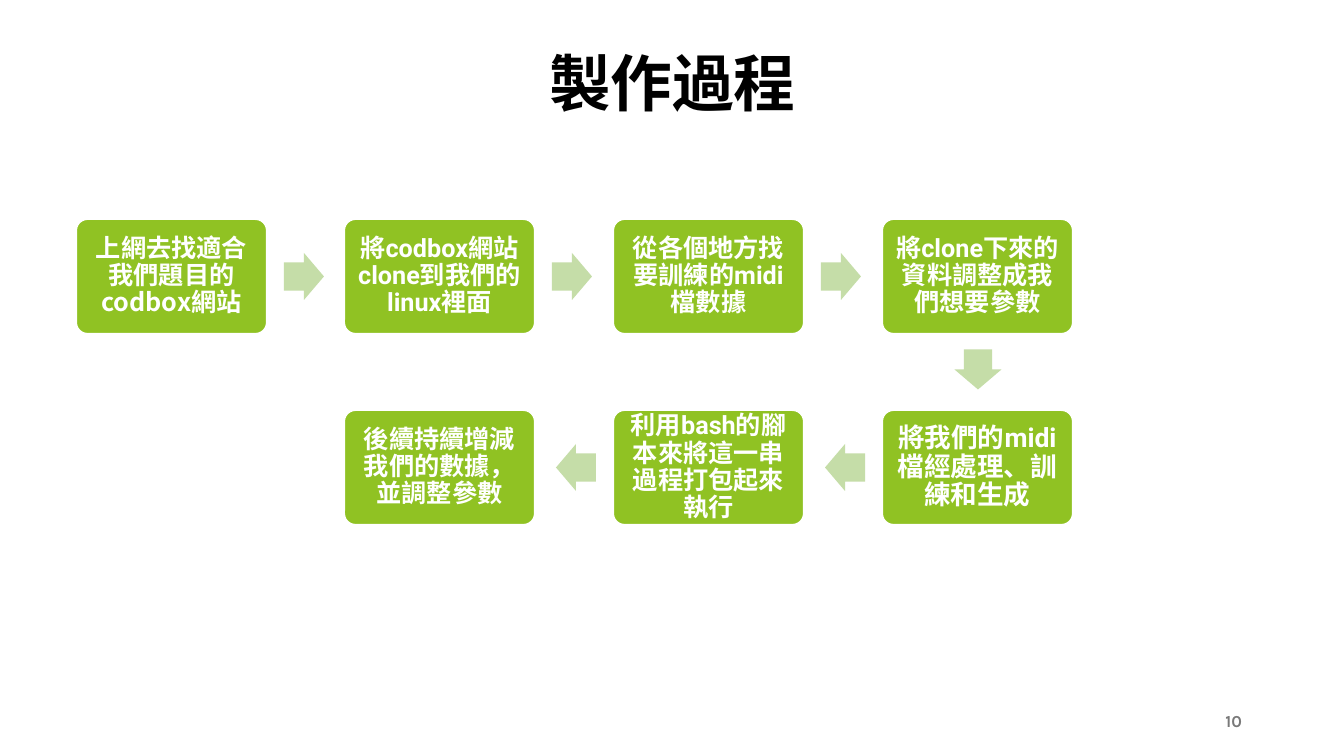
from dataclasses import dataclass
from itertools import pairwise
from math import atan2, degrees

from lxml.etree import SubElement
from pptx import Presentation
from pptx.dml.color import RGBColor
from pptx.enum.shapes import MSO_SHAPE
from pptx.enum.text import MSO_ANCHOR, PP_ALIGN
from pptx.oxml.ns import qn
from pptx.util import Emu, Pt


@dataclass(frozen=True)
class Theme:
    black: str = "000000"
    white: str = "FFFFFF"
    gray: str = "797979"
    green: str = "90C223"
    pale: str = "C5DDA8"
    heading_font: str = "Karla"
    step_font: str = "Roboto"
    cjk_font: str = "Noto Sans CJK TC"
    title_size: int = 44
    step_size: int = 18
    number_size: int = 12
    border: float = 1.5


def px(n):
    return Emu(round(n * 914400 / 100.8))


class SlideBuilder:
    BOX_W, BOX_H = 191, 115
    ARROW_W, ARROW_H = 40, 47

    def __init__(self, slide, theme):
        self.s, self.t = slide, theme

    def set_text(self, sp, text, size, color, font, align, anchor, inset=(10, 5)):
        tf = sp.text_frame
        tf.word_wrap = True
        tf.vertical_anchor = anchor
        tf.margin_left = tf.margin_right = px(inset[0])
        tf.margin_top = tf.margin_bottom = px(inset[1])
        tf.text = text
        p = tf.paragraphs[0]
        p.alignment = align
        r = p.runs[0]
        r.font.size, r.font.bold, r.font.name = Pt(size), True, font
        r.font.color.rgb = RGBColor.from_string(color)
        SubElement(r.font._element, qn("a:ea"), typeface=self.t.cjk_font)
        return p

    def title(self, text, x, y, w, h):
        sp = self.s.shapes.title
        sp.left, sp.top, sp.width, sp.height = map(px, (x, y, w, h))
        self.set_text(sp, text, self.t.title_size, self.t.black,
                      self.t.heading_font, PP_ALIGN.CENTER, MSO_ANCHOR.TOP)

    def number(self, text, x, y, w, h):
        sp = self.s.shapes.add_textbox(*map(px, (x, y, w, h)))
        self.set_text(sp, text, self.t.number_size, self.t.gray,
                      self.t.heading_font, PP_ALIGN.RIGHT, MSO_ANCHOR.MIDDLE)

    def shape(self, kind, x, y, w, h, fill):
        sp = self.s.shapes.add_shape(kind, *map(px, (x, y, w, h)))
        sp.shadow.inherit = False
        sp.fill.solid()
        sp.fill.fore_color.rgb = RGBColor.from_string(fill)
        return sp

    def step(self, text, x, y, size, font):
        sp = self.shape(MSO_SHAPE.ROUNDED_RECTANGLE, x, y,
                        self.BOX_W, self.BOX_H, self.t.green)
        sp.adjustments[0] = 0.1
        sp.line.color.rgb = RGBColor.from_string(self.t.white)
        sp.line.width = Pt(self.t.border)
        p = self.set_text(sp, text, size, self.t.white, font,
                          PP_ALIGN.CENTER, MSO_ANCHOR.MIDDLE, (9, 9))
        p.line_spacing = 0.9

    def arrow(self, start, end):
        """Block arrow in the gap between two steps, slightly nearer the first."""
        dx, dy = end[0] - start[0], end[1] - start[1]
        length = abs(dx) + abs(dy)
        cx = (start[0] + end[0] + self.BOX_W) / 2 - 2 * dx / length
        cy = (start[1] + end[1] + self.BOX_H) / 2 - 2 * dy / length
        sp = self.shape(MSO_SHAPE.RIGHT_ARROW,
                        round(cx - self.ARROW_W / 2), round(cy - self.ARROW_H / 2),
                        self.ARROW_W, self.ARROW_H, self.t.pale)
        sp.adjustments[0], sp.adjustments[1] = 0.6, 0.5
        sp.line.fill.background()
        sp.rotation = degrees(atan2(dy, dx))


def main():
    theme = Theme()
    prs = Presentation()
    prs.slide_width, prs.slide_height = px(1344), px(756)
    b = SlideBuilder(prs.slides.add_slide(prs.slide_layouts[5]), theme)

    # Heading and page number
    b.title("製作過程", 93, 40, 1159, 146)
    b.number("10", 950, 701, 302, 40)

    # Steps: column, row, text, size, font
    size, font = theme.step_size, theme.step_font
    steps = [
        (0, 0, "上網去找適合我們題目的codbox網站", size, theme.cjk_font),
        (1, 0, "將codbox網站clone到我們的linux裡面", size, font),
        (2, 0, "從各個地方找要訓練的midi檔數據", size, font),
        (3, 0, "將clone下來的資料調整成我們想要參數", size, font),
        (3, 1, "將我們的midi檔經處理、訓練和生成", size + 1, font),
        (2, 1, "利用bash的腳本來將這一串過程打包起來執行", size, font),
        (1, 1, "後續持續增減我們的數據，並調整參數", size, font),
    ]
    corners = [(76 + col * 806 // 3, 219 + row * 191) for col, row, *_ in steps]
    for (x, y), (_, _, text, step_size, step_font) in zip(corners, steps):
        b.step(text, x, y, step_size, step_font)

    # Arrows from each step to the next
    for start, end in pairwise(corners):
        b.arrow(start, end)

    prs.save("out.pptx")


if __name__ == "__main__":
    main()
